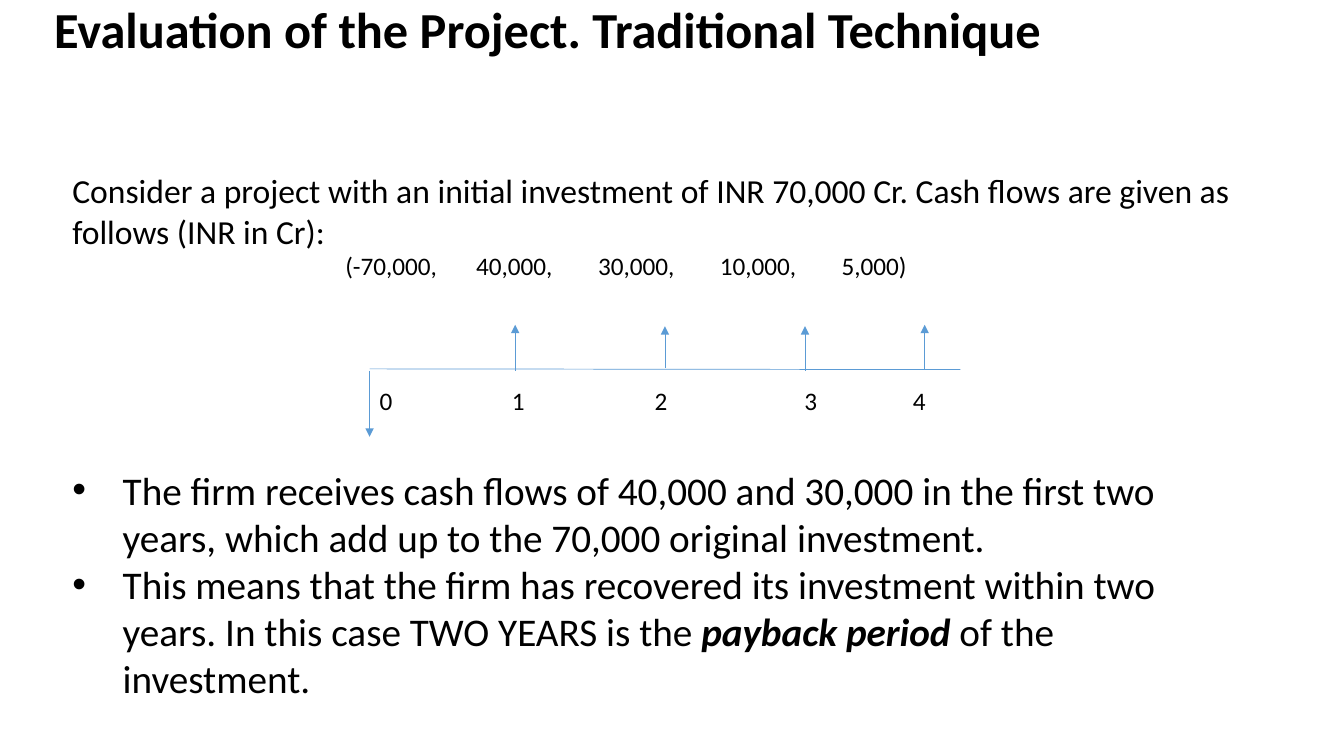
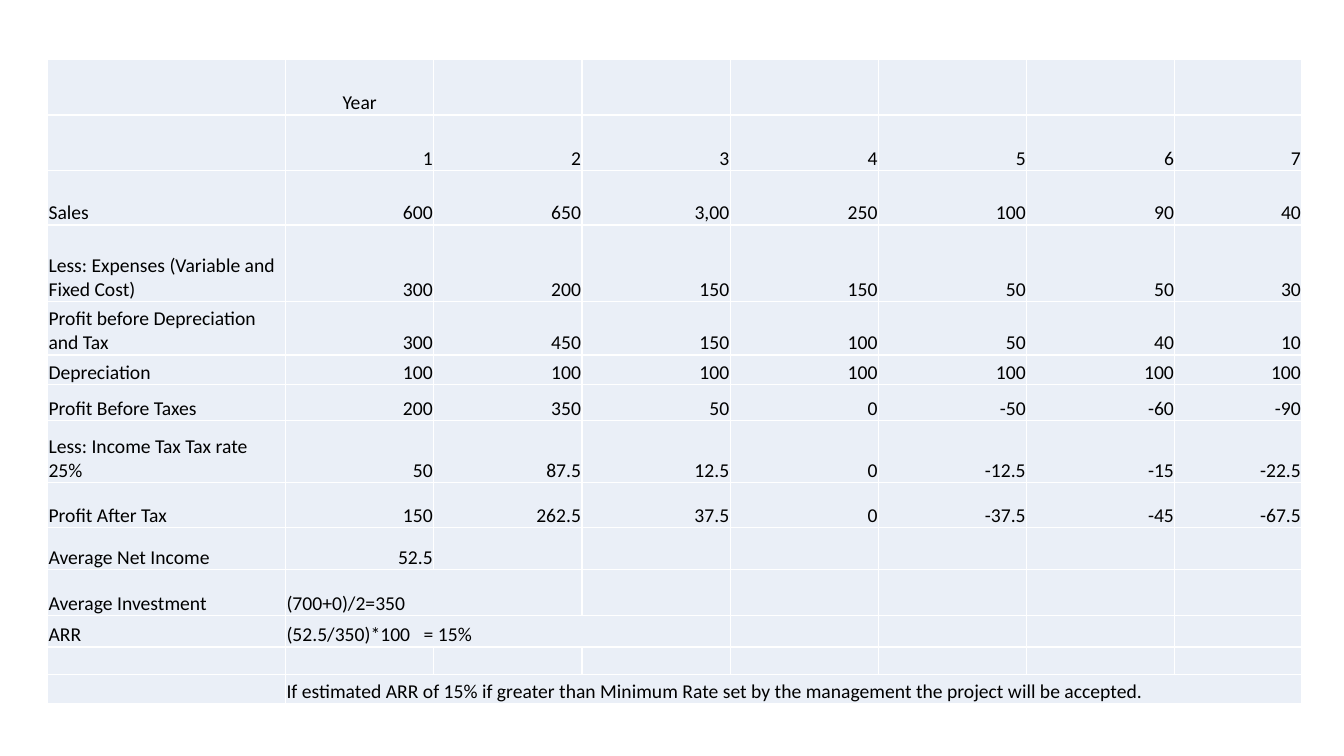
from lxml import etree
from pptx import Presentation
from pptx.dml.color import RGBColor
from pptx.enum import shapes, text
from pptx.oxml import ns
from pptx.util import Pt

COLORS = {"ink": "000000", "line": "5B9BD5", "cell": "EAEFF7", "border": "FFFFFF"}
FONT = "Calibri"


def rgb(name):
    return RGBColor.from_string(COLORS[name])


def add_xml(parent, tag, **attributes):
    return etree.SubElement(parent, ns.qn(tag), {k: str(v) for k, v in attributes.items()})


class Deck:
    def __init__(self, width, height):
        self.prs = Presentation()
        self.prs.slide_width, self.prs.slide_height = Pt(width), Pt(height)
        self.slide = None

    def new_slide(self):
        self.slide = self.prs.slides.add_slide(self.prs.slide_layouts[6])

    def text_box(self, left, top, width, height):
        box = self.slide.shapes.add_textbox(Pt(left), Pt(top), Pt(width), Pt(height))
        box.text_frame.word_wrap = True
        return box.text_frame

    def set_text(self, paragraph, content, size, bold=None, align=None, tabs=(), bullet=False):
        """Fill a paragraph; every second part between ** marks is bold italic."""
        properties = paragraph._p.get_or_add_pPr()
        if bullet:
            properties.set("marL", str(Pt(36)))
            properties.set("indent", str(Pt(-36)))
            add_xml(properties, "a:buFont", typeface="Arial")
            add_xml(properties, "a:buChar", char="•")
        if tabs:
            stops = add_xml(properties, "a:tabLst")
            for stop in tabs:
                add_xml(stops, "a:tab", pos=Pt(stop), algn="l")
        font = paragraph.font
        font.name, font.size, font.bold = FONT, Pt(size), bold
        font.color.rgb = rgb("ink")
        paragraph.alignment = align
        for index, part in enumerate(content.split("**") if content else []):
            run = paragraph.add_run()
            run.text = part
            if index % 2:
                run.font.bold = run.font.italic = True

    def title(self, content):
        paragraph = self.text_box(31.7, 0, 825, 92).paragraphs[0]
        self.set_text(paragraph, content, 36, bold=True)
        paragraph.line_spacing = 0.9

    def line(self, x1, y1, x2, y2, arrow=False):
        connector = self.slide.shapes.add_connector(
            shapes.MSO_CONNECTOR.STRAIGHT, Pt(x1), Pt(y1), Pt(x2), Pt(y2))
        connector.line.color.rgb = rgb("line")
        connector.line.width = Pt(0.5)
        if arrow:
            add_xml(connector.line._get_or_add_ln(), "a:tailEnd", type="triangle")
        add_xml(connector._element.spPr, "a:effectLst")

    def table(self, left, top, widths, heights):
        frame = self.slide.shapes.add_table(
            len(heights), len(widths), Pt(left), Pt(top), Pt(sum(widths)), Pt(sum(heights)))
        table = frame.table
        table.first_row = table.horz_banding = False
        for column, width in zip(table.columns, widths):
            column.width = Pt(width)
        for row, height in zip(table.rows, heights):
            row.height = Pt(height)
        return table

    def cell(self, cell, content, align, tabs=()):
        properties = cell._tc.get_or_add_tcPr()
        for side in ("a:lnL", "a:lnR", "a:lnT", "a:lnB"):
            fill = add_xml(add_xml(properties, side, w=Pt(1)), "a:solidFill")
            add_xml(fill, "a:srgbClr", val=COLORS["border"])
        cell.fill.solid()
        cell.fill.fore_color.rgb = rgb("cell")
        cell.margin_left = cell.margin_right = cell.margin_top = Pt(0.7)
        cell.margin_bottom = 0
        cell.vertical_anchor = text.MSO_ANCHOR.BOTTOM
        self.set_text(cell.text_frame.paragraphs[0], content, 14, align=align, tabs=tabs)


def payback_slide(deck):
    deck.new_slide()
    deck.title("Evaluation of the Project. Traditional Technique")

    body = deck.text_box(44.6, 118, 846.7, 388)
    deck.set_text(body.paragraphs[0], "Consider a project with an initial investment of INR "
                  "70,000 Cr. Cash flows are given as follows (INR in Cr):", 24)
    deck.set_text(body.add_paragraph(), "\t(-70,000,\t40,000,\t30,000,\t10,000,\t5,000)", 18,
                  tabs=(195, 288.5, 375.5, 462.5, 549.5))
    conclusions = (
        "The firm receives cash flows of 40,000 and 30,000 in the first two years, "
        "which add up to the 70,000 original investment.",
        "This means that the firm has recovered its investment within two years. "
        "In this case TWO YEARS is the **payback period **of the investment.",
    )
    for conclusion, gap in zip(conclusions, (132, 0)):
        paragraph = body.add_paragraph()
        deck.set_text(paragraph, conclusion, 28, bullet=True)
        paragraph.space_before = Pt(gap)

    deck.line(264, 263.5, 686, 264)
    cash_flows = ((264, 265, 312), (368, 265, 232), (475, 263, 233),
                  (575, 265, 233), (660.5, 264, 232))
    for x, start, end in cash_flows:
        deck.line(x, start, x, end, arrow=True)
    years = deck.text_box(264, 272, 422, 29)
    deck.set_text(years.paragraphs[0], "0\t1\t2\t3\t4", 18, tabs=(94.5, 196.5, 303.5, 381))


def return_slide(deck):
    deck.new_slide()
    rows = (
        (39.6, "", "Year"),
        (39.6, "", "1", "2", "3", "4", "5", "6", "7"),
        (38.9, "Sales", "600", "650", "3,00", "250", "100", "90", "40"),
        (54.7, "Less: Expenses (Variable and Fixed Cost)",
         "300", "200", "150", "150", "50", "50", "30"),
        (38.2, "Profit before Depreciation and Tax",
         "300", "450", "150", "100", "50", "40", "10"),
        (20.9, "Depreciation") + ("100",) * 7,
        (25.9, "Profit Before Taxes", "200", "350", "50", "0", "-50", "-60", "-90"),
        (44.6, "Less: Income Tax Tax rate 25%",
         "50", "87.5", "12.5", "0", "-12.5", "-15", "-22.5"),
        (31.7, "Profit After Tax", "150", "262.5", "37.5", "0", "-37.5", "-45", "-67.5"),
        (30.2, "Average Net Income", "52.5"),
        (33.1, "Average Investment", "(700+0)/2=350"),
        (22.3, "ARR", "(52.5/350)*100\t= 15%"),
        (19.4,),
        (20.9, "", "If estimated ARR of 15% if greater than Minimum Rate set by "
                   "the management the project will be accepted."),
    )
    last_merged_column = {10: 2, 11: 3, 13: 7}
    widths = [170] + [105.9] * 6 + [90.7]
    table = deck.table(34, 42.6, widths, [row[0] for row in rows])
    for r, (_, *values) in enumerate(rows):
        for c in range(len(widths)):
            content = values[c] if c < len(values) else ""
            if c == 0 or r in last_merged_column:
                align = text.PP_ALIGN.LEFT
            else:
                align = text.PP_ALIGN.CENTER if r == 0 else text.PP_ALIGN.RIGHT
            deck.cell(table.cell(r, c), content, align, tabs=(98,) if "\t" in content else ())
    for r, c in last_merged_column.items():
        table.cell(r, 1).merge(table.cell(r, c))


def main():
    deck = Deck(960, 540)
    payback_slide(deck)
    return_slide(deck)
    deck.prs.save("out.pptx")


if __name__ == "__main__":
    main()
